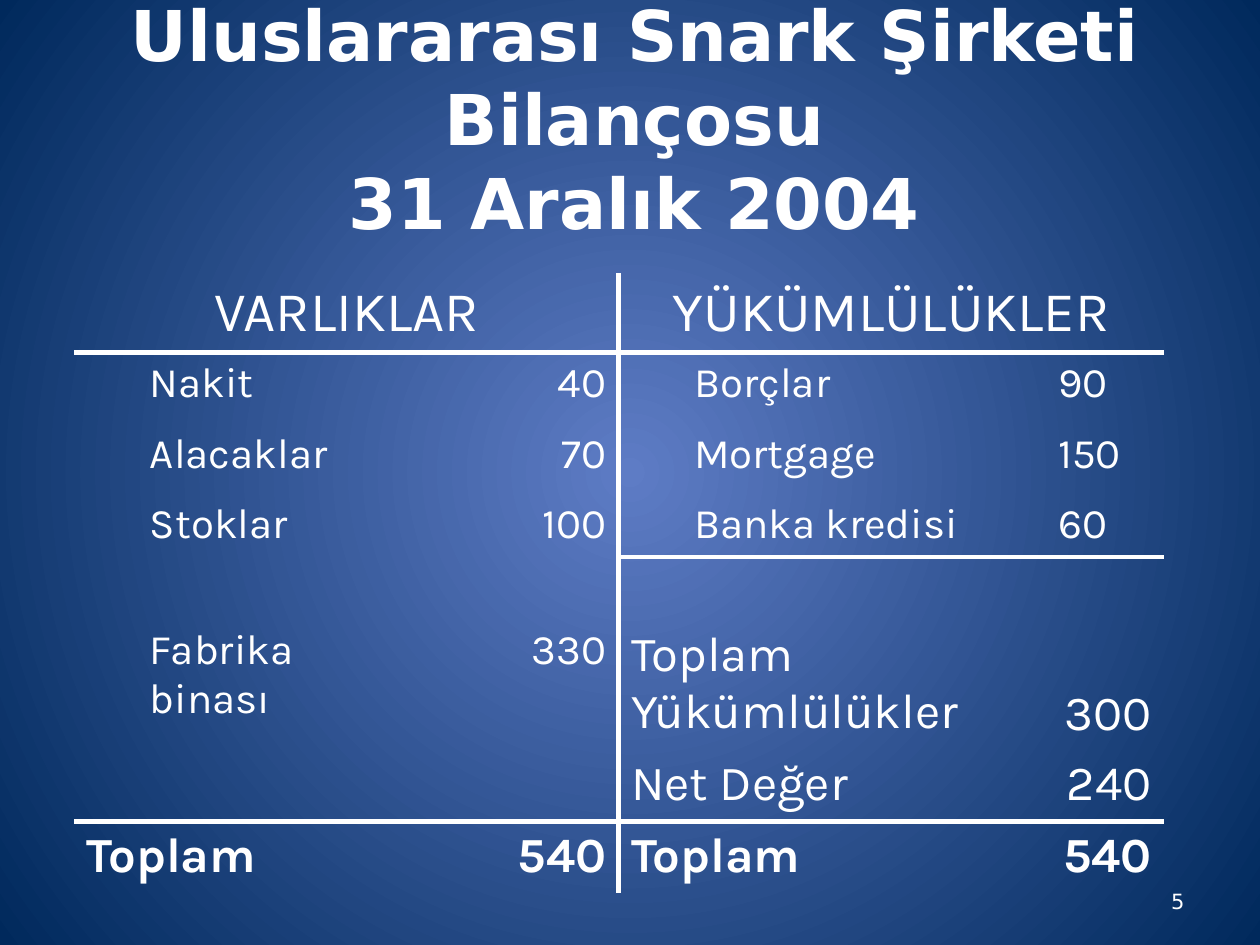
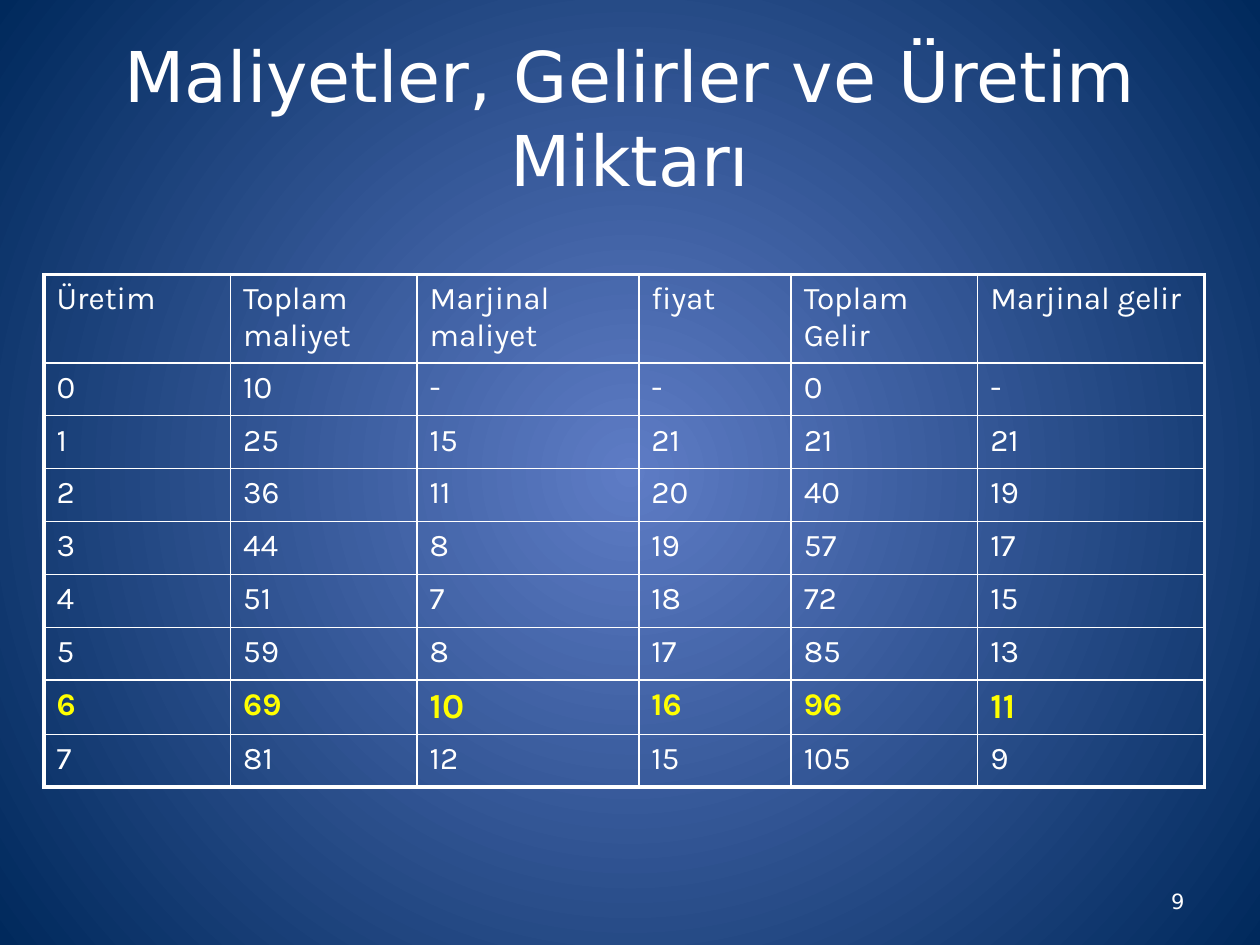
from lxml import etree
from pptx import Presentation
from pptx.dml.color import RGBColor
from pptx.enum.text import MSO_ANCHOR, MSO_AUTO_SIZE, PP_ALIGN
from pptx.oxml.ns import qn
from pptx.util import Inches, Pt

LEFT, CENTER, RIGHT = PP_ALIGN.LEFT, PP_ALIGN.CENTER, PP_ALIGN.RIGHT
TOP, MIDDLE, BOTTOM = MSO_ANCHOR.TOP, MSO_ANCHOR.MIDDLE, MSO_ANCHOR.BOTTOM
NO_AUTOFIT = MSO_AUTO_SIZE.NONE

WHITE, HIGHLIGHT = "FFFFFF", "FFFF00"
GLOW, NAVY = "5E7CC5", "00295C"
HEADING_FONT, TABLE_FONT = "DejaVu Sans", "Karla"
PLAIN_TABLE_STYLE = "{2D5ABB26-0587-4C30-8999-92F81FD0307C}"

BALANCE_ROWS = [
    ["VARLIKLAR", "", "YÜKÜMLÜLÜKLER", ""],
    ["Nakit", "40", "Borçlar", "90"],
    ["Alacaklar", "70", "Mortgage", "150"],
    ["Stoklar", "100", "Banka kredisi", "60"],
    ["", "", "", ""],
    ["Fabrika binası", "330", "Toplam Yükümlülükler", "300"],
    ["", "", "Net Değer", "240"],
    ["Toplam", "540", "Toplam", "540"],
]
BALANCE_MERGES = [((0, 0), (0, 1)), ((0, 2), (0, 3)), ((3, 0), (4, 0)), ((3, 1), (4, 1))]
OUTPUT_ROWS = [
    ["Üretim", "Toplam maliyet", "Marjinal maliyet", "fiyat", "Toplam Gelir", "Marjinal gelir"],
    ["0", "10", "-", "-", "0", "-"],
    ["1", "25", "15", "21", "21", "21"],
    ["2", "36", "11", "20", "40", "19"],
    ["3", "44", "8", "19", "57", "17"],
    ["4", "51", "7", "18", "72", "15"],
    ["5", "59", "8", "17", "85", "13"],
    ["6", "69", "10", "16", "96", "11"],
    ["7", "81", "12", "15", "105", "9"],
]
BEST_OUTPUT_ROW = 7


def color(hex_value):
    return RGBColor.from_string(hex_value)


def format_font(font, ink=WHITE, **values):
    for name, value in values.items():
        setattr(font, name, value)
    font.color.rgb = color(ink)


def paint_background(master):
    fill = master.background.fill
    fill.gradient()
    for stop, position, shade in zip(fill.gradient_stops, (0, 1), (GLOW, NAVY)):
        stop.position = position
        stop.color.rgb = color(shade)
    gradient = master.element.find(".//" + qn("p:bgPr")).find(qn("a:gradFill"))
    gradient.remove(gradient.find(qn("a:lin")))
    circle = etree.SubElement(gradient, qn("a:path"), {"path": "circle"})
    center = dict.fromkeys("ltrb", "50000")
    etree.SubElement(circle, qn("a:fillToRect"), center)


def add_slide(prs, title, box, number, bold=False):
    slide = prs.slides.add_slide(prs.slide_layouts[5])
    heading = slide.shapes.title
    for name, value in zip(("left", "top", "width", "height"), box):
        setattr(heading, name, Inches(value))
    page = slide.shapes.add_textbox(Inches(7.17), Inches(6.95), Inches(2.33), Inches(0.4))
    for shape, text, align, size, weight in (
        (heading, title, CENTER, 40, bold),
        (page, number, RIGHT, 12, False),
    ):
        frame = shape.text_frame
        frame.text = text
        frame.word_wrap = True
        frame.auto_size = NO_AUTOFIT
        frame.vertical_anchor = MIDDLE
        paragraph = frame.paragraphs[0]
        paragraph.alignment = align
        for run in paragraph.runs:
            format_font(run.font, size=Pt(size), name=HEADING_FONT, bold=weight)
        format_font(paragraph.font, size=Pt(size), name=HEADING_FONT, bold=weight)
    return slide


def add_table(slide, left, top, widths, heights):
    frame = slide.shapes.add_table(
        len(heights), len(widths), Inches(left), Inches(top),
        Inches(sum(widths)), Inches(sum(heights)))
    table = frame.table
    table.first_row = table.horz_banding = False
    frame.element.find(".//" + qn("a:tableStyleId")).text = PLAIN_TABLE_STYLE
    for column, width in zip(table.columns, widths):
        column.width = Inches(width)
    for row, height in zip(table.rows, heights):
        row.height = Inches(height)
    return table


def write_cell(cell, text, size, align=LEFT, anchor=TOP, indent=0, ink=WHITE, bold=False):
    cell.vertical_anchor = anchor
    paragraph = cell.text_frame.paragraphs[0]
    paragraph.alignment = align
    properties = paragraph._p.get_or_add_pPr()
    if indent:
        paragraph.level = 1
        properties.set("marL", str(Inches(indent)))
        properties.set("indent", "0")
    spacing = etree.SubElement(properties, qn("a:spcBef"))
    etree.SubElement(spacing, qn("a:spcPct"), val="20000")
    run = paragraph.add_run()
    run.text = text
    format_font(run.font, ink, size=Pt(size), name=TABLE_FONT, bold=bold)


def rule_cell(cell, **widths):
    properties = cell._tc.get_or_add_tcPr()
    for side in "LRTB":
        width = widths.get(side, 0)
        line = etree.SubElement(properties, qn("a:ln" + side), w=str(Pt(width)))
        if width:
            fill = etree.SubElement(line, qn("a:solidFill"))
            etree.SubElement(fill, qn("a:srgbClr"), val=WHITE)
        else:
            etree.SubElement(line, qn("a:noFill"))
    cell.fill.background()


def balance_style(row, col):
    if row == 0:
        return {"size": 32, "align": CENTER}
    is_item = row < 4 or col < 2 and row < 7
    if is_item:
        return {"size": 24, "indent": 0.5, "align": RIGHT if col == 1 else LEFT}
    return {
        "size": 28,
        "align": RIGHT if col % 2 else LEFT,
        "anchor": BOTTOM if (row, col) == (5, 3) else TOP,
        "bold": row == 7,
    }


def ruled_below(row, col):
    return row in (0, 6) or row == 3 and col > 1


def fill_balance_sheet(table):
    for start, end in BALANCE_MERGES:
        table.cell(*start).merge(table.cell(*end))
    for row, texts in enumerate(BALANCE_ROWS):
        for col, text in enumerate(texts):
            cell = table.cell(row, col)
            if text:
                write_cell(cell, text, **balance_style(row, col))
            rule_cell(
                cell,
                L=3 * (col == 2),
                R=3 * (col == 1 or row == 0 and col == 0),
                T=3 * ruled_below(row - 1, col),
                B=3 * ruled_below(row, col))


def fill_output_table(table):
    last_row, last_col = len(OUTPUT_ROWS) - 1, len(OUTPUT_ROWS[0]) - 1
    for row, texts in enumerate(OUTPUT_ROWS):
        best = row == BEST_OUTPUT_ROW
        for col, text in enumerate(texts):
            cell = table.cell(row, col)
            is_marginal = col in (2, 5)
            write_cell(cell, text, 20 if best and is_marginal else 18,
                       ink=HIGHLIGHT if best else WHITE, bold=best)
            outer = {"L": col == 0, "R": col == last_col, "T": row == 0, "B": row == last_row}
            rule_cell(cell, **{side: 2.25 if edge else 1 for side, edge in outer.items()})


def main():
    prs = Presentation()
    prs.slide_width, prs.slide_height = Inches(10), Inches(7.5)
    paint_background(prs.slide_master)

    balance = add_slide(prs, "Uluslararası Snark Şirketi Bilançosu\v31 Aralık 2004",
                        (0.23, 0.31, 9.61, 1.24), "5", bold=True)
    fill_balance_sheet(add_table(
        balance, 0.59, 2.17, [2.16, 2.16, 2.89, 1.44],
        [0.63, 0.56, 0.56, 0.5, 0.5, 1.03, 0.57, 0.57]))

    output = add_slide(prs, "Maliyetler, Gelirler ve Üretim Miktarı",
                       (0.5, 0.3, 9, 1.25), "9")
    fill_output_table(add_table(
        output, 0.35, 2.18, [1.48, 1.48, 1.76, 1.21, 1.48, 1.8],
        [0.7] + [0.42] * 6 + [0.43, 0.42]))

    prs.save("out.pptx")


if __name__ == "__main__":
    main()
